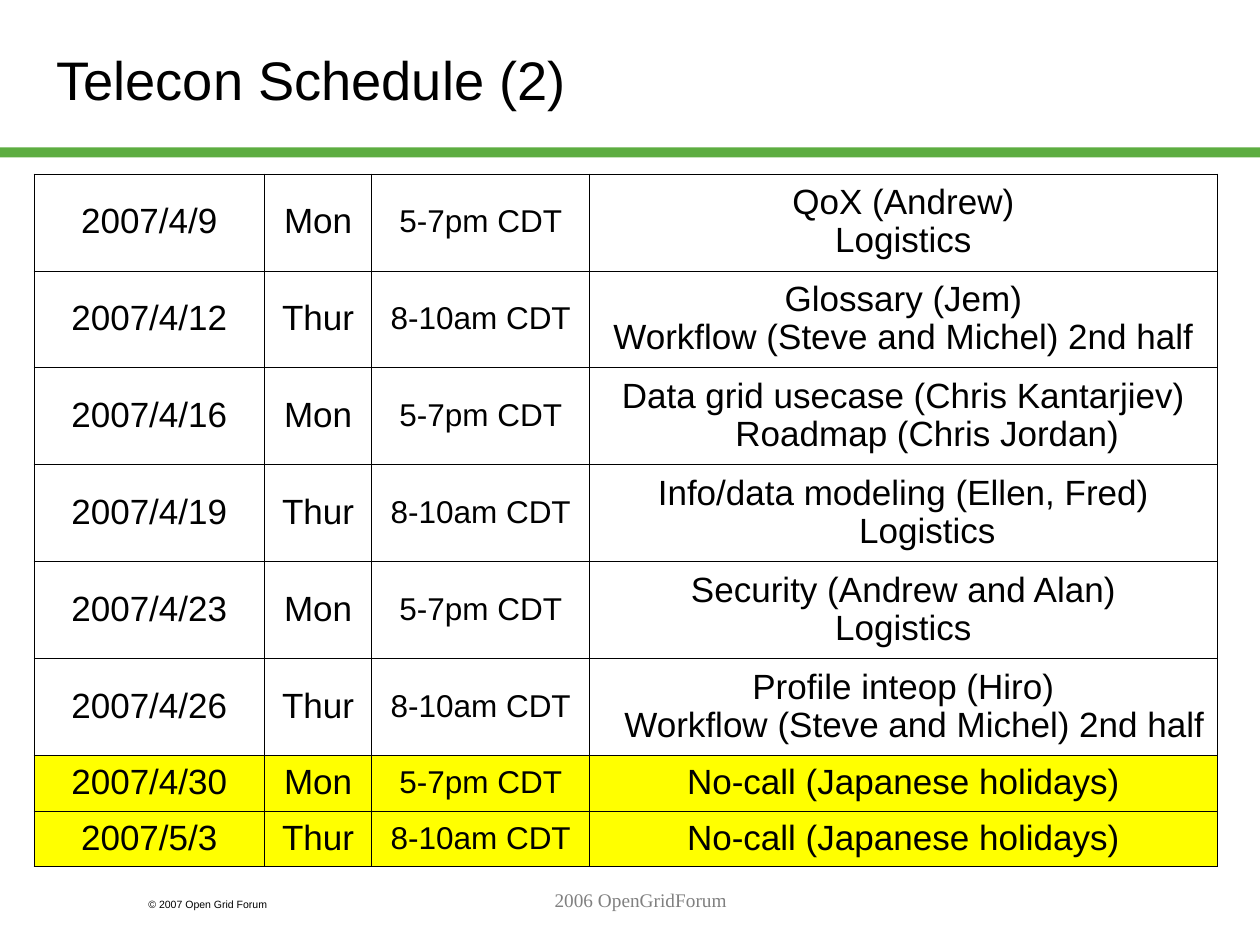
from lxml import etree
from pptx import Presentation
from pptx.dml.color import RGBColor
from pptx.enum import shapes, text
from pptx.oxml import ns
from pptx.util import Inches, Pt

BLACK = RGBColor(0, 0, 0)
WHITE = RGBColor(255, 255, 255)
GREEN = RGBColor(0x5D, 0xAD, 0x41)
YELLOW = RGBColor(255, 255, 0)
GRAY = RGBColor(0x80, 0x80, 0x80)
LEFT, MID, RIGHT = text.PP_ALIGN.LEFT, text.PP_ALIGN.CENTER, text.PP_ALIGN.RIGHT

COLS = [1.83, 0.85, 1.73, 4.98]
TALL, SHORT = 0.77, 0.44
TIMES = {"Mon": "5-7pm CDT", "Thur": "8-10am CDT"}
FLOW = "Workflow (Steve and Michel) 2nd half"
CALLS = [
    ("2007/4/9", "Mon", ["QoX (Andrew)", "Logistics"]),
    ("2007/4/12", "Thur", ["Glossary (Jem)", FLOW]),
    ("2007/4/16", "Mon",
     ["Data grid usecase (Chris Kantarjiev) Roadmap (Chris Jordan)"]),
    ("2007/4/19", "Thur", ["Info/data modeling (Ellen, Fred) Logistics"]),
    ("2007/4/23", "Mon", ["Security (Andrew and Alan)", "Logistics"]),
    ("2007/4/26", "Thur", ["Profile inteop (Hiro)", FLOW]),
]
BREAKS = [(date, day, ["No-call (Japanese holidays)"])
          for date, day in [("2007/4/30", "Mon"), ("2007/5/3", "Thur")]]


class Deck:
    def __init__(self, face="Arial"):
        self.face = face
        self.prs = Presentation()
        self.prs.slide_width, self.prs.slide_height = Inches(10), Inches(7.5)
        self.slide = self.prs.slides.add_slide(self.prs.slide_layouts[6])

    def put(self, para, words, size, color=BLACK, face=None, align=LEFT):
        """Add one styled run to a paragraph."""
        para.alignment = align
        run = para.add_run()
        run.text = words
        run.font.size, run.font.name = Pt(size), face or self.face
        run.font.color.rgb = color

    def bar(self, box, color):
        shape = self.slide.shapes.add_shape(
            shapes.MSO_SHAPE.RECTANGLE, *map(Inches, box))
        shape.shadow.inherit = False
        shape.fill.solid()
        shape.fill.fore_color.rgb = color
        shape.line.fill.background()

    def label(self, box, words, size, anchor=text.MSO_ANCHOR.TOP, **style):
        frame = self.slide.shapes.add_textbox(*map(Inches, box)).text_frame
        frame.word_wrap = True
        frame.vertical_anchor = anchor
        self.put(frame.paragraphs[0], words, size, **style)

    def border(self, cell, width=0.45):
        props = cell._tc.get_or_add_tcPr()
        for side in ("lnL", "lnR", "lnT", "lnB"):
            line = etree.SubElement(props, ns.qn("a:" + side), w=str(Pt(width)))
            fill = etree.SubElement(line, ns.qn("a:solidFill"))
            etree.SubElement(fill, ns.qn("a:srgbClr"), val=str(BLACK))

    def cell(self, cell, lines, size, fill=None, last=MID):
        """Fill one cell; last aligns the closing paragraph."""
        self.border(cell)
        if fill is None:
            cell.fill.background()
        else:
            cell.fill.solid()
            cell.fill.fore_color.rgb = fill
        cell.vertical_anchor = text.MSO_ANCHOR.MIDDLE
        frame = cell.text_frame
        for i, words in enumerate(lines):
            para = frame.add_paragraph() if i else frame.paragraphs[0]
            props = para._p.get_or_add_pPr()
            props.set("marL", str(Inches(0.38)))
            props.set("indent", str(Inches(-0.38)))
            para.line_spacing = 0.97
            self.put(para, words, size,
                     align=last if i == len(lines) - 1 else MID)

    def table(self, left, top):
        rows = CALLS + BREAKS
        high = [TALL] * len(CALLS) + [SHORT] * len(BREAKS)
        grid = self.slide.shapes.add_table(
            len(rows), len(COLS), Inches(left), Inches(top),
            Inches(sum(COLS)), Inches(sum(high))).table
        grid.first_row = grid.horz_banding = False
        for col, width in zip(grid.columns, COLS):
            col.width = Inches(width)
        for r, (date, day, topics) in enumerate(rows):
            grid.rows[r].height = Inches(high[r])
            off = r >= len(CALLS)
            fill = YELLOW if off else WHITE
            last = RIGHT if r == len(CALLS) - 1 else MID
            self.cell(grid.cell(r, 0), [date], 20, fill)
            self.cell(grid.cell(r, 1), [day], 20, fill)
            self.cell(grid.cell(r, 2), [TIMES[day]], 18, fill if off else None)
            self.cell(grid.cell(r, 3), topics, 20, fill, last)


def main():
    deck = Deck()
    deck.bar((0, 1.17, 10, 0.08), GREEN)
    deck.label((1.08, 7.08, 1.5, 0.2), "© 2007 Open Grid Forum", 6)
    deck.label((0.35, 0.17, 8.9, 0.91), "Telecon Schedule (2)", 31,
               anchor=text.MSO_ANCHOR.MIDDLE)
    deck.table(0.27, 1.38)
    deck.label((2.17, 7, 5.83, 0.5), "2006 OpenGridForum", 11,
               color=GRAY, face="Times New Roman", align=MID)
    deck.prs.save("out.pptx")


if __name__ == "__main__":
    main()
